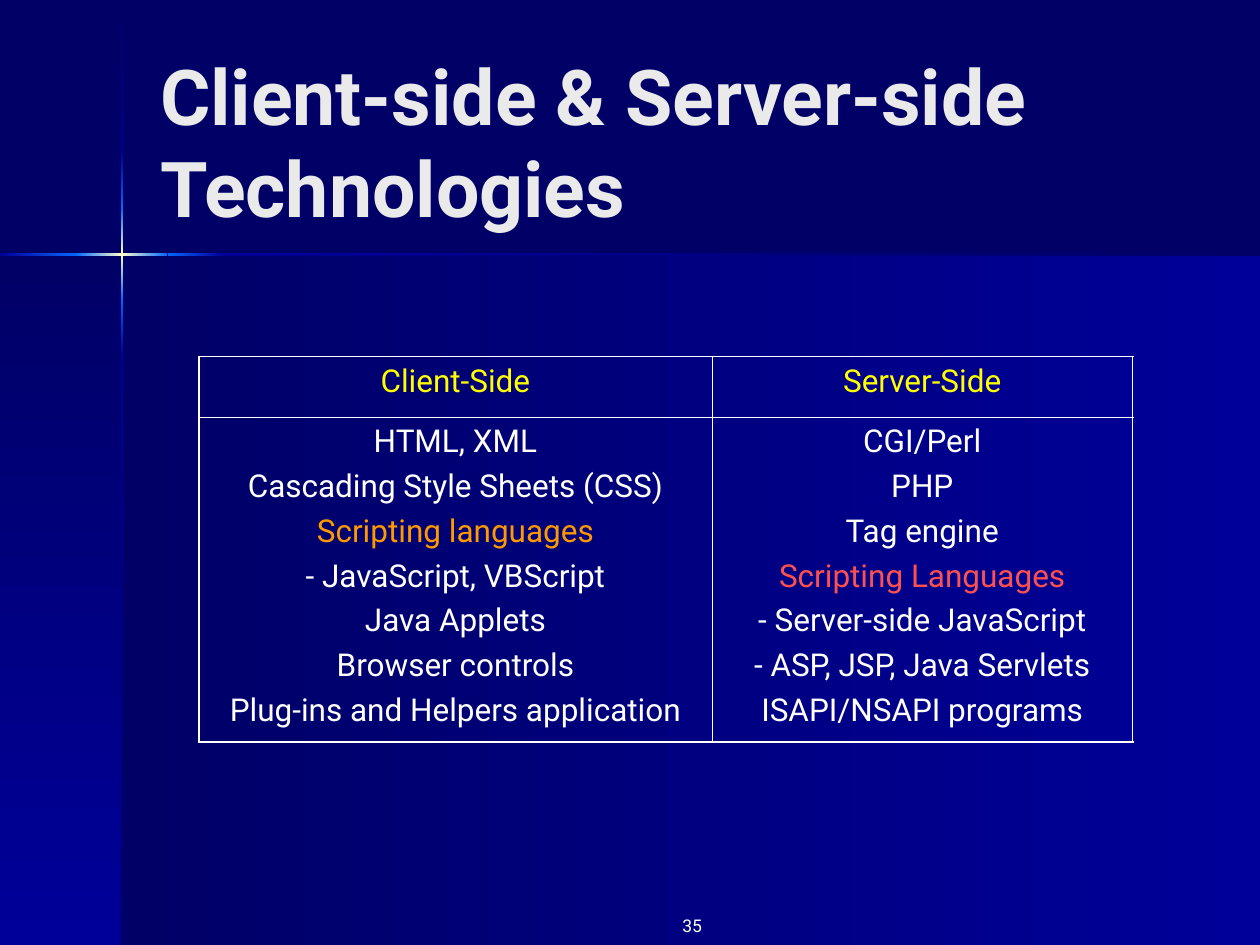
"""Build a slide that compares client-side and server-side technologies in a table."""
import copy

import lxml.etree
import pptx
import pptx.dml.color
import pptx.enum.shapes
import pptx.enum.text
import pptx.oxml.ns
import pptx.util

Inches = pptx.util.Inches
RGBColor = pptx.dml.color.RGBColor
Align = pptx.enum.text.PP_ALIGN

NAVY = RGBColor(0x00, 0x00, 0x66)
BLUE = RGBColor(0x00, 0x00, 0x99)
BRIGHT = RGBColor(0x00, 0x66, 0xFF)
CREAM = RGBColor(0xFF, 0xFF, 0xCC)
WHITE = RGBColor(0xFF, 0xFF, 0xFF)
PALE = RGBColor(0xEA, 0xEA, 0xEA)
YELLOW = RGBColor(0xFF, 0xFF, 0x00)
ORANGE = RGBColor(0xFF, 0x99, 0x00)
RED = RGBColor(0xFF, 0x50, 0x50)
FONT = "Roboto"
THICK, THIN = 1.08, 0.45


def write_text(paragraph, text, size=18, color=WHITE, bold=False, align=Align.LEFT, before=0):
    paragraph.text = text
    paragraph.alignment = align
    paragraph.space_before = pptx.util.Pt(before)
    for run in paragraph.runs:
        run.font.name = FONT
        run.font.size = pptx.util.Pt(size)
        run.font.bold = bold
        run.font.color.rgb = color


def set_border(cell, side, width):
    properties = cell._tc.get_or_add_tcPr()
    line = lxml.etree.SubElement(properties, pptx.oxml.ns.qn(f"a:ln{side}"))
    line.set("w", str(pptx.util.Pt(width)))
    fill = lxml.etree.SubElement(line, pptx.oxml.ns.qn("a:solidFill"))
    lxml.etree.SubElement(fill, pptx.oxml.ns.qn("a:srgbClr")).set("val", str(WHITE))


presentation = pptx.Presentation()
presentation.slide_width = Inches(10)
presentation.slide_height = Inches(7.5)
slide = presentation.slides.add_slide(presentation.slide_layouts[5])
slide.background.fill.solid()
slide.background.fill.fore_color.rgb = NAVY

ACROSS, DOWN = 0, 270
gradient_bands = [
    (0.97, 2.02, 9.03, 5.48, ACROSS, [NAVY, BLUE]),
    (0, 2.02, 0.97, 5.48, DOWN, [NAVY, BLUE]),
    (0.96, 0.01, 0.02, 1.2, DOWN, [NAVY, BLUE]),
    (0.96, 2.82, 0.02, 4.68, DOWN, [BLUE, NAVY]),
    (1.77, 2.01, 8.23, 0.02, ACROSS, [BLUE, NAVY]),
    (0.96, 2.38, 0.02, 0.44, DOWN, [BRIGHT, BLUE]),
    (0.96, 1.21, 0.02, 0.44, DOWN, [BLUE, BRIGHT]),
    (0.96, 1.65, 0.02, 0.73, DOWN, [BRIGHT, CREAM, BRIGHT]),
    (0, 2.01, 0.61, 0.02, ACROSS, [BLUE, BRIGHT]),
    (1.33, 2.01, 0.44, 0.02, ACROSS, [BRIGHT, BLUE]),
    (0.6, 2.01, 0.73, 0.02, ACROSS, [BRIGHT, CREAM, BRIGHT]),
]
for left, top, width, height, angle, colors in gradient_bands:
    shape = slide.shapes.add_shape(
        pptx.enum.shapes.MSO_SHAPE.RECTANGLE,
        Inches(left), Inches(top), Inches(width), Inches(height),
    )
    shape.shadow.inherit = False
    shape.line.fill.background()
    shape.fill.gradient()
    shape.fill.gradient_angle = angle
    stop_list = shape._element.spPr.find(".//" + pptx.oxml.ns.qn("a:gsLst"))
    while len(stop_list) < len(colors):
        stop_list.append(copy.deepcopy(stop_list[-1]))
    for index, (stop, color) in enumerate(zip(shape.fill.gradient_stops, colors)):
        stop.color.rgb = color
        stop.position = index / (len(colors) - 1)

number_box = slide.shapes.add_textbox(Inches(5), Inches(7.21), Inches(0.67), Inches(0.24))
number_box.text_frame.word_wrap = True
write_text(number_box.text_frame.paragraphs[0], "35", size=10, align=Align.RIGHT)

title = slide.shapes.title
title.left, title.top = Inches(1.17), Inches(0.33)
title.width, title.height = Inches(8.25), Inches(1.57)
title.text_frame.auto_size = pptx.enum.text.MSO_AUTO_SIZE.NONE
title.text_frame.vertical_anchor = pptx.enum.text.MSO_ANCHOR.MIDDLE
write_text(
    title.text_frame.paragraphs[0], "Client-side & Server-side\vTechnologies",
    size=44, color=PALE, bold=True,
)
slide.shapes._spTree.append(title._element)

technologies = [
    [["Client-Side"], ["Server-Side"]],
    [
        [
            "HTML, XML",
            "Cascading Style Sheets (CSS)",
            "Scripting languages",
            "- JavaScript, VBScript",
            "Java Applets",
            "Browser controls",
            "Plug-ins and Helpers application",
        ],
        [
            "CGI/Perl",
            "PHP",
            "Tag engine",
            "Scripting Languages",
            "- Server-side JavaScript",
            "- ASP, JSP, Java Servlets",
            "ISAPI/NSAPI programs",
        ],
    ],
]
highlights = {
    "Client-Side": YELLOW,
    "Server-Side": YELLOW,
    "Scripting languages": ORANGE,
    "Scripting Languages": RED,
}
table = slide.shapes.add_table(
    2, 2, Inches(1.58), Inches(2.83), Inches(7.41), Inches(3.06)
).table
table.first_row = False
table.horz_banding = False
for column, width in zip(table.columns, (4.07, 3.34)):
    column.width = Inches(width)
for row, height in zip(table.rows, (0.48, 2.58)):
    row.height = Inches(height)

for row_index, row_cells in enumerate(technologies):
    for column_index, lines in enumerate(row_cells):
        cell = table.cell(row_index, column_index)
        set_border(cell, "L", THICK if column_index == 0 else THIN)
        set_border(cell, "R", THICK if column_index == 1 else THIN)
        set_border(cell, "T", THICK if row_index == 0 else THIN)
        set_border(cell, "B", THICK if row_index == 1 else THIN)
        cell.fill.background()
        for line_index, text in enumerate(lines):
            frame = cell.text_frame
            paragraph = frame.add_paragraph() if line_index else frame.paragraphs[0]
            write_text(
                paragraph, text, color=highlights.get(text, WHITE),
                align=Align.CENTER, before=4.5 if line_index else 0,
            )

presentation.save("out.pptx")
